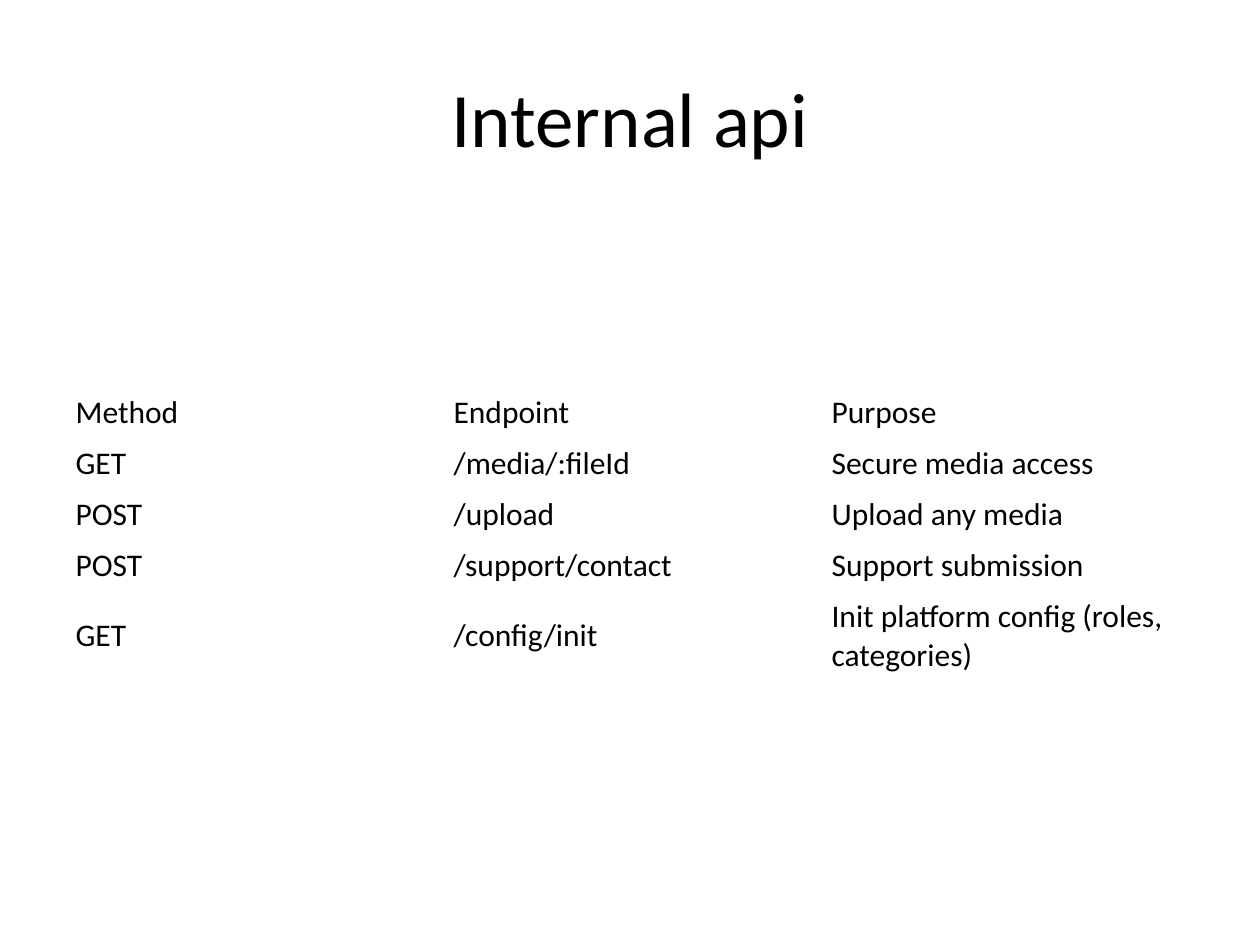
from pptx import Presentation
from pptx.dml.color import RGBColor
from pptx.enum.text import MSO_ANCHOR, PP_ALIGN
from pptx.util import Inches, Pt

BLACK = RGBColor(0, 0, 0)

ROUTES = [
    ("Method", "Endpoint", "Purpose"),
    ("GET", "/media/:fileId", "Secure media access"),
    ("POST", "/upload", "Upload any media"),
    ("POST", "/support/contact", "Support submission"),
    ("GET", "/config/init", "Init platform config (roles, categories)"),
]
HEIGHTS = [0.4, 0.4, 0.4, 0.4, 0.7]


class Deck:
    """Holds the text style and the current slide."""

    face = "Calibri"
    color = BLACK

    def __init__(self, show):
        self.slide = show.slides.add_slide(show.slide_layouts[5])

    def label(self, frame, text, size, align):
        frame.text = text
        para = frame.paragraphs[0]
        para.alignment = align
        para.font.name = self.face
        para.font.size = Pt(size)
        para.font.color.rgb = self.color

    def title(self, text, left, top, width, height):
        shape = self.slide.shapes.title
        shape.left, shape.top = Inches(left), Inches(top)
        shape.width, shape.height = Inches(width), Inches(height)
        frame = shape.text_frame
        frame.vertical_anchor = MSO_ANCHOR.MIDDLE
        self.label(frame, text, 44, PP_ALIGN.CENTER)

    def table(self, rows, heights, left, top, width):
        frame = self.slide.shapes.add_table(
            len(rows), len(rows[0]), Inches(left), Inches(top),
            Inches(width), Inches(sum(heights)))
        table = frame.table
        table.first_row = table.horz_banding = False
        for line, height, texts in zip(table.rows, heights, rows):
            line.height = Inches(height)
            for cell, text in zip(line.cells, texts):
                cell.fill.background()
                cell.vertical_anchor = MSO_ANCHOR.MIDDLE
                self.label(cell.text_frame, text, 18, PP_ALIGN.LEFT)


def main():
    show = Presentation()
    show.slide_width, show.slide_height = Inches(10), Inches(7.5)
    deck = Deck(show)
    deck.title("Internal api", 0.5, 0.3, 9, 1.25)
    deck.table(ROUTES, HEIGHTS, 0.5, 3.07, 9)
    show.save("out.pptx")


if __name__ == "__main__":
    main()
